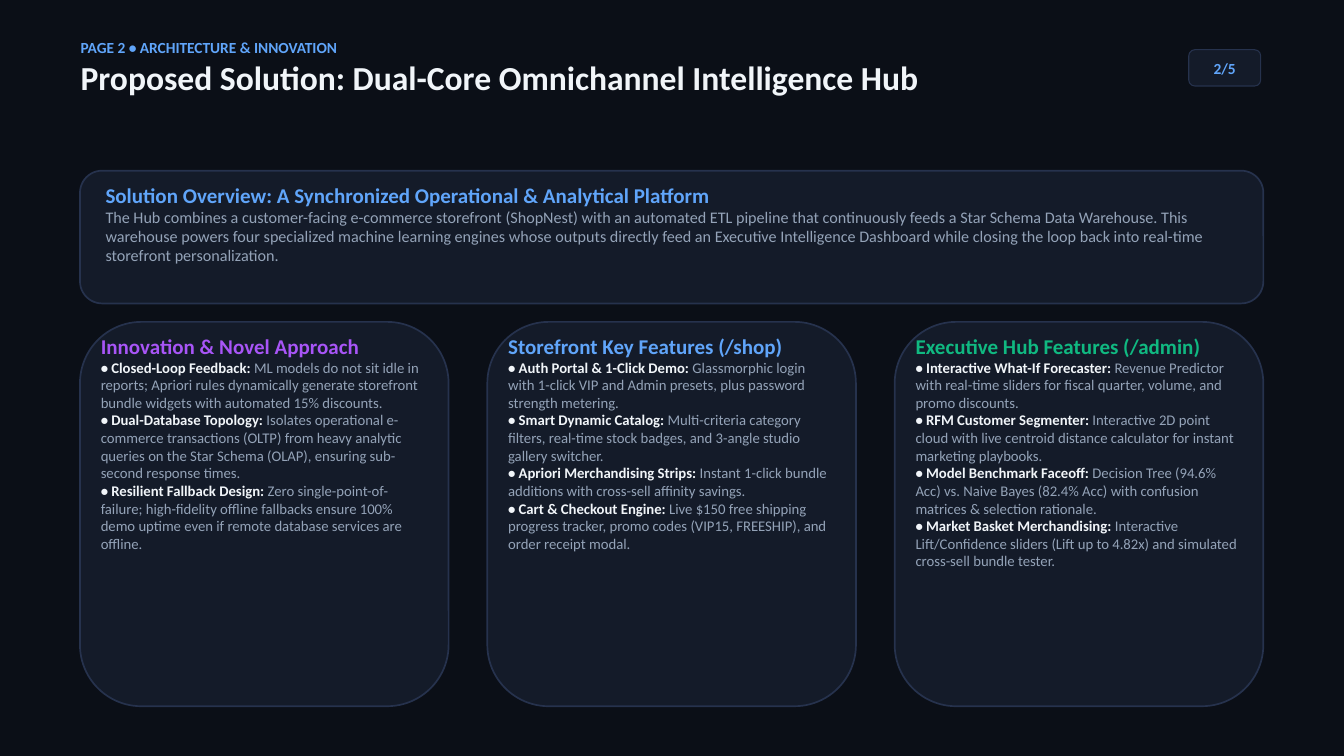
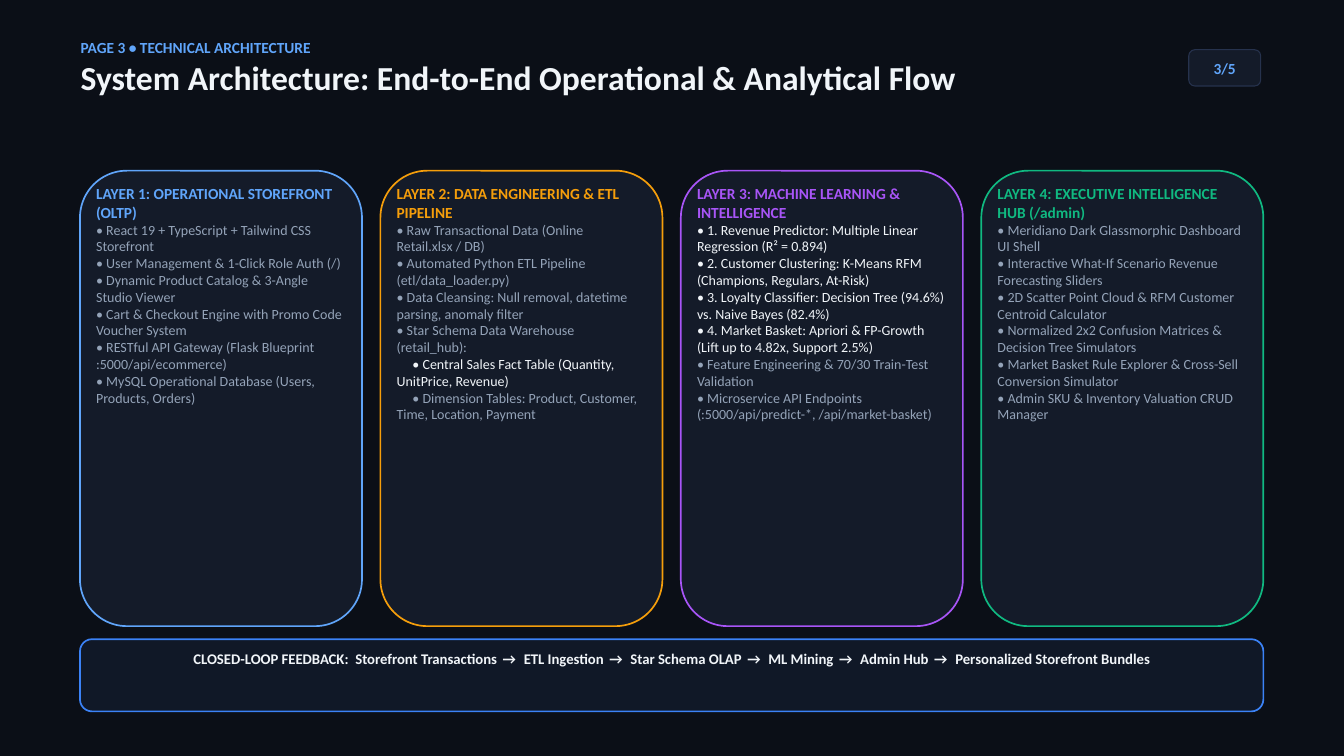
"""Build two dark slides on a retail intelligence hub: the solution and its architecture."""
import pptx
import pptx.dml.color
import pptx.enum.shapes
import pptx.enum.text
import pptx.util
from dataclasses import dataclass


@dataclass(frozen=True)
class Theme:
    font: str = "Calibri"
    page: str = "0B0F17"
    card: str = "141B29"
    edge: str = "26324D"
    loop_fill: str = "101827"
    loop_edge: str = "3B82F6"
    bright: str = "F1F5F9"
    muted: str = "94A3B8"
    blue: str = "60A5FA"
    violet: str = "A855F7"
    green: str = "10B981"
    amber: str = "F59E0B"
    title: float = 36
    heading: float = 22.5
    summary: float = 17.25
    label: float = 16.5
    detail: float = 15.75
    item: float = 15
    leading: float = 1.2
    sub_indent: float = 17
    thin: float = 1.13
    thick: float = 1.8


theme = Theme()
rgb = pptx.dml.color.RGBColor.from_string
center = pptx.enum.text.PP_ALIGN.CENTER

deck = pptx.Presentation()
deck.slide_width = pptx.util.Inches(20)
deck.slide_height = pptx.util.Inches(11.25)
column = deck.slide_width / 100
row = deck.slide_height / 100
backdrop = deck.slide_master.background.fill
backdrop.solid()
backdrop.fore_color.rgb = rgb(theme.page)

left_edge, content_width, content_top = 5.95, 88.05, 22.58


def write(frame, paragraphs, alignment=None):
    """Fill a frame with (size, [(text, colour, bold), ...]) paragraphs."""
    frame.word_wrap = True
    for index, (size, pieces) in enumerate(paragraphs):
        paragraph = frame.add_paragraph() if index else frame.paragraphs[0]
        paragraph.alignment = alignment
        paragraph.line_spacing = pptx.util.Pt(size * theme.leading)
        paragraph.font.name = theme.font
        paragraph.font.size = pptx.util.Pt(size)
        agree = len({piece[1:] for piece in pieces}) == 1
        for text, color, bold in pieces:
            run = paragraph.add_run()
            run.text = text
            font = paragraph.font if agree else run.font
            font.bold = bold
            font.color.rgb = rgb(color)


def panel(slide, box, fill, line, weight, pads=None, paragraphs=(), alignment=None):
    """Draw a rounded panel and, inside its pads, a text box; return the shape to write in."""
    left, top, width, height = box
    card = slide.shapes.add_shape(
        pptx.enum.shapes.MSO_SHAPE.ROUNDED_RECTANGLE,
        round(left * column), round(top * row), round(width * column), round(height * row))
    card.shadow.inherit = False
    card.fill.solid()
    card.fill.fore_color.rgb = rgb(fill)
    card.line.color.rgb = rgb(line)
    card.line.width = pptx.util.Pt(weight)
    if pads is None:
        return card
    across, down = pads
    body = slide.shapes.add_textbox(
        round((left + across) * column), round((top + down) * row),
        round((width - 2 * across) * column), round((height - 2 * down) * row))
    frame = body.text_frame
    frame.margin_left = frame.margin_right = frame.margin_top = frame.margin_bottom = 0
    write(frame, paragraphs, alignment)
    return body


headers = [
    ("PAGE 2 • ARCHITECTURE & INNOVATION",
     "Proposed Solution: Dual-Core Omnichannel Intelligence Hub", "2/5"),
    ("PAGE 3 • TECHNICAL ARCHITECTURE",
     "System Architecture: End-to-End Operational & Analytical Flow", "3/5"),
]
slides = []
for kicker, headline, page_number in headers:
    slide = deck.slides.add_slide(deck.slide_layouts[6])
    slides.append(slide)
    heading = slide.shapes.add_textbox(
        round(6 * column), round(5.07 * row), round(88 * column), round(14.93 * row)).text_frame
    heading.margin_left = heading.margin_right = heading.margin_top = heading.margin_bottom = 0
    write(heading, [(theme.label, [(kicker, theme.blue, True)]),
                    (theme.title, [(headline, theme.bright, True)])])
    badge = panel(slide, (88.45, 6.58, 5.35, 4.8), theme.card, theme.edge, theme.thin).text_frame
    badge.margin_left = badge.margin_right = badge.margin_top = badge.margin_bottom = 0
    badge.vertical_anchor = pptx.enum.text.MSO_ANCHOR.MIDDLE
    write(badge, [(theme.label, [(page_number, theme.blue, True)])], center)

solution, architecture = slides

panel(solution, (left_edge, content_top, content_width, 17.56),
      theme.card, theme.edge, theme.thick, (1.9, 1.5), [
    (theme.heading, [("Solution Overview: A Synchronized Operational & Analytical Platform",
                      theme.blue, True)]),
    (theme.summary, [(
        "The Hub combines a customer-facing e-commerce storefront (ShopNest) with an automated "
        "ETL pipeline that continuously feeds a Star Schema Data Warehouse. This warehouse powers "
        "four specialized machine learning engines whose outputs directly feed an Executive "
        "Intelligence Dashboard while closing the loop back into real-time storefront "
        "personalization.", theme.muted, False)]),
])

features = [
    ("Innovation & Novel Approach", theme.violet, [
        ("Closed-Loop Feedback", "ML models do not sit idle in reports; Apriori rules dynamically "
         "generate storefront bundle widgets with automated 15% discounts."),
        ("Dual-Database Topology", "Isolates operational e-commerce transactions (OLTP) from heavy "
         "analytic queries on the Star Schema (OLAP), ensuring sub-second response times."),
        ("Resilient Fallback Design", "Zero single-point-of-failure; high-fidelity offline "
         "fallbacks ensure 100% demo uptime even if remote database services are offline."),
    ]),
    ("Storefront Key Features (/shop)", theme.blue, [
        ("Auth Portal & 1-Click Demo", "Glassmorphic login with 1-click VIP and Admin presets, "
         "plus password strength metering."),
        ("Smart Dynamic Catalog", "Multi-criteria category filters, real-time stock badges, and "
         "3-angle studio gallery switcher."),
        ("Apriori Merchandising Strips", "Instant 1-click bundle additions with cross-sell "
         "affinity savings."),
        ("Cart & Checkout Engine", "Live $150 free shipping progress tracker, promo codes (VIP15, "
         "FREESHIP), and order receipt modal."),
    ]),
    ("Executive Hub Features (/admin)", theme.green, [
        ("Interactive What-If Forecaster", "Revenue Predictor with real-time sliders for fiscal "
         "quarter, volume, and promo discounts."),
        ("RFM Customer Segmenter", "Interactive 2D point cloud with live centroid distance "
         "calculator for instant marketing playbooks."),
        ("Model Benchmark Faceoff", "Decision Tree (94.6% Acc) vs. Naive Bayes (82.4% Acc) with "
         "confusion matrices & selection rationale."),
        ("Market Basket Merchandising", "Interactive Lift/Confidence sliders (Lift up to 4.82x) "
         "and simulated cross-sell bundle tester."),
    ]),
]
feature_gap = 2.88
feature_width = (content_width - feature_gap * (len(features) - 1)) / len(features)
for index, (name, accent, points) in enumerate(features):
    paragraphs = [(theme.heading, [(name, accent, True)])]
    for lead, explanation in points:
        paragraphs.append((theme.detail, [(f"• {lead}: ", theme.bright, True),
                                          (explanation, theme.muted, False)]))
    left = left_edge + index * (feature_width + feature_gap)
    panel(solution, (left, 42.58, feature_width, 50.84),
          theme.card, theme.edge, theme.thick, (1.55, 1.5), paragraphs)

layers = [
    ("LAYER 1: OPERATIONAL STOREFRONT (OLTP)", theme.blue, (), (), [
        "React 19 + TypeScript + Tailwind CSS Storefront",
        "User Management & 1-Click Role Auth (/)",
        "Dynamic Product Catalog & 3-Angle Studio Viewer",
        "Cart & Checkout Engine with Promo Code Voucher System",
        "RESTful API Gateway (Flask Blueprint :5000/api/ecommerce)",
        "MySQL Operational Database (Users, Products, Orders)",
    ]),
    ("LAYER 2: DATA ENGINEERING & ETL PIPELINE", theme.amber, (5,), (5, 6), [
        "Raw Transactional Data (Online Retail.xlsx / DB)",
        "Automated Python ETL Pipeline (etl/data_loader.py)",
        "Data Cleansing: Null removal, datetime parsing, anomaly filter",
        "Star Schema Data Warehouse (retail_hub):",
        "Central Sales Fact Table (Quantity, UnitPrice, Revenue)",
        "Dimension Tables: Product, Customer, Time, Location, Payment",
    ]),
    ("LAYER 3: MACHINE LEARNING & INTELLIGENCE", theme.violet, (1, 2, 3, 4), (), [
        "1. Revenue Predictor: Multiple Linear Regression (R² = 0.894)",
        "2. Customer Clustering: K-Means RFM (Champions, Regulars, At-Risk)",
        "3. Loyalty Classifier: Decision Tree (94.6%) vs. Naive Bayes (82.4%)",
        "4. Market Basket: Apriori & FP-Growth (Lift up to 4.82x, Support 2.5%)",
        "Feature Engineering & 70/30 Train-Test Validation",
        "Microservice API Endpoints (:5000/api/predict-*, /api/market-basket)",
    ]),
    ("LAYER 4: EXECUTIVE INTELLIGENCE HUB (/admin)", theme.green, (), (), [
        "Meridiano Dark Glassmorphic Dashboard UI Shell",
        "Interactive What-If Scenario Revenue Forecasting Sliders",
        "2D Scatter Point Cloud & RFM Customer Centroid Calculator",
        "Normalized 2x2 Confusion Matrices & Decision Tree Simulators",
        "Market Basket Rule Explorer & Cross-Sell Conversion Simulator",
        "Admin SKU & Inventory Valuation CRUD Manager",
    ]),
]
layer_gap = 1.37
layer_width = (content_width - layer_gap * (len(layers) - 1)) / len(layers)
for index, (name, accent, highlighted, nested, components) in enumerate(layers):
    paragraphs = [(theme.label, [(name, accent, True)])]
    for number, component in enumerate(components, 1):
        color = theme.bright if number in highlighted else theme.muted
        paragraphs.append((theme.item, [(f"• {component}", color, False)]))
    left = left_edge + index * (layer_width + layer_gap)
    layer = panel(architecture, (left, content_top, layer_width, 60.25),
                  theme.card, accent, theme.thick, (1.2, 1.78), paragraphs)
    for number in nested:
        properties = layer.text_frame.paragraphs[number]._p.get_or_add_pPr()
        properties.set("marL", "0")
        properties.set("indent", str(pptx.util.Pt(theme.sub_indent)))

stages = ["Storefront Transactions", "ETL Ingestion", "Star Schema OLAP", "ML Mining",
          "Admin Hub", "Personalized Storefront Bundles"]
steps = ["CLOSED-LOOP FEEDBACK:", " ", stages[0]]
for stage in stages[1:]:
    steps += [" → ", stage]
feedback = panel(architecture, (left_edge, 84.55, content_width, 9.55),
                 theme.loop_fill, theme.loop_edge, theme.thick, (2.05, 1.4),
                 [(theme.detail, [(step, theme.bright, True) for step in steps])], center)
for run in feedback.text_frame.paragraphs[0].runs:
    if run.text in (" ", " → "):
        run._r.get_or_add_rPr().set("spc", "360" if run.text == " " else "240")

deck.save("out.pptx")
